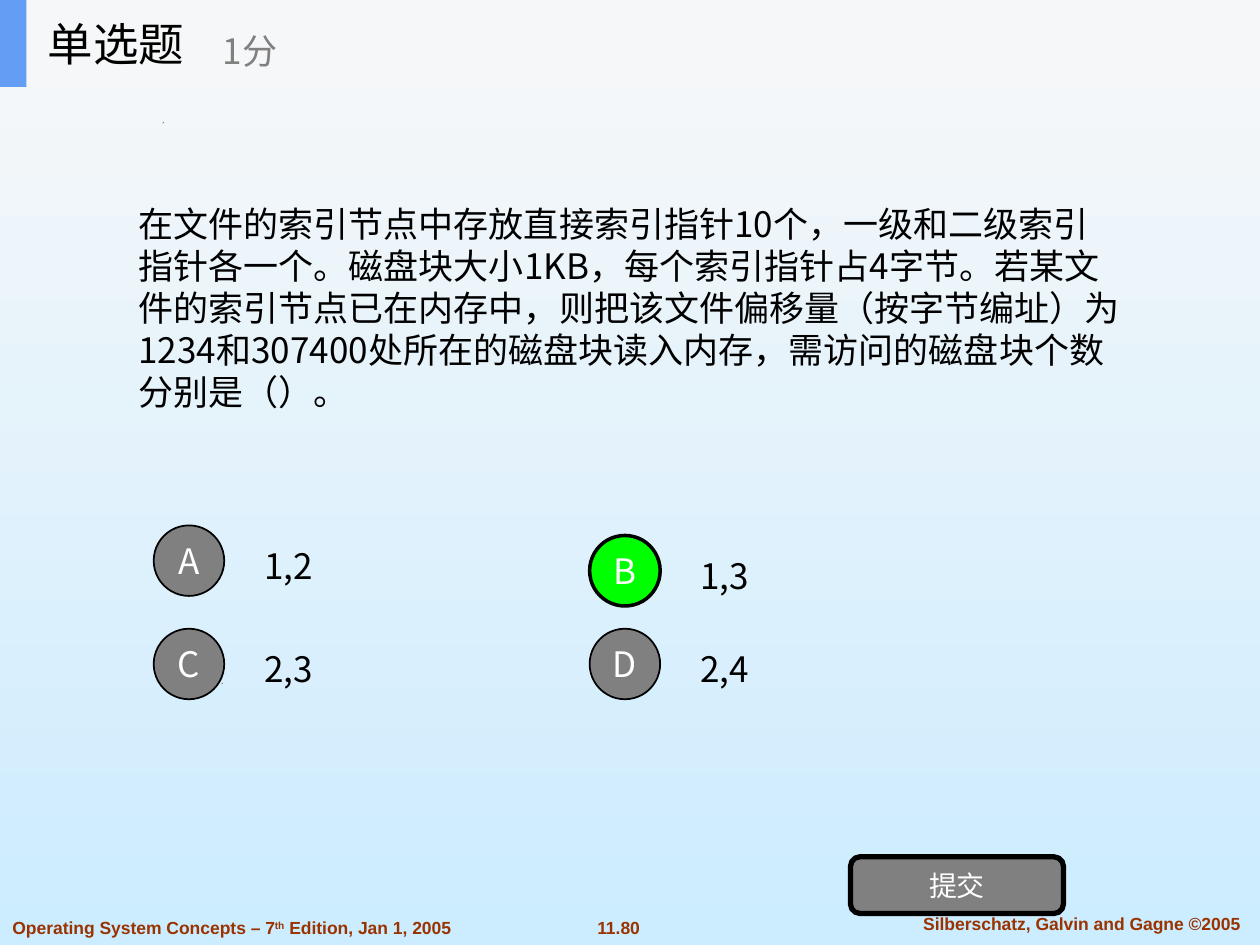
from lxml.etree import SubElement
from pptx import Presentation
from pptx.dml.color import RGBColor
from pptx.enum.shapes import MSO_SHAPE as Shape
from pptx.enum.text import MSO_ANCHOR as Anchor, MSO_AUTO_SIZE as AutoSize, PP_ALIGN as Align
from pptx.oxml.ns import qn
from pptx.util import Inches, Pt

COLORS = {
    "ink": "000000", "white": "FFFFFF", "gray": "808080", "correct": "00FF00",
    "header": "F6F7F8", "accent": "639EF4", "footer": "993300",
    "sky_top": "F8F8F8", "sky_bottom": "CCECFF",
}
CJK = "Noto Sans CJK SC"
COLUMNS, ROWS = 100, 75


def rgb(name):
    return RGBColor.from_string(COLORS[name])


def write(frame, text, *, size=20, color="ink", font=CJK, bold=False, align=Align.LEFT,
          anchor=Anchor.MIDDLE, wrap=True, superscript=None):
    """Fill a text frame; the part equal to superscript is raised."""
    frame.word_wrap = wrap
    frame.auto_size = AutoSize.NONE
    frame.vertical_anchor = anchor
    paragraph = frame.paragraphs[0]
    paragraph.alignment = align
    parts = [text]
    if superscript:
        before, after = text.split(superscript, 1)
        parts = [before, superscript, after]
    for part in parts:
        run = paragraph.add_run()
        run.text = part
        run.font.size, run.font.bold, run.font.name = Pt(size), bold, font
        run.font.color.rgb = rgb(color)
        properties = run.font._element
        SubElement(properties, qn("a:ea")).set("typeface", font)
        if part == superscript:
            properties.set("baseline", "30000")


class QuizSlide:
    """Places elements on a grid of COLUMNS by ROWS."""

    def __init__(self, deck):
        self.column = deck.slide_width / COLUMNS
        self.row = deck.slide_height / ROWS
        self.slide = deck.slides.add_slide(deck.slide_layouts[5])
        self.shapes = self.slide.shapes

    def cell(self, left, top, width, height):
        return (round(left * self.column), round(top * self.row),
                round(width * self.column), round(height * self.row))

    def background(self, top, bottom):
        fill = self.slide.background.fill
        fill.gradient()
        fill.gradient_angle = 270
        for stop, color in zip(fill.gradient_stops, (top, bottom)):
            stop.color.rgb = rgb(color)

    def title(self, area, text, **style):
        title = self.shapes.title
        title.left, title.top, title.width, title.height = self.cell(*area)
        write(title.text_frame, text, **style)
        self.shapes._spTree.append(title._element)  # in front of the header band

    def text(self, area, text, **style):
        write(self.shapes.add_textbox(*self.cell(*area)).text_frame, text, **style)

    def paint(self, shape, fill, line_width=0):
        shape.shadow.inherit = False
        shape.fill.solid()
        shape.fill.fore_color.rgb = rgb(fill)
        if line_width:
            shape.line.color.rgb = rgb("ink")
            shape.line.width = Pt(line_width)
        else:
            shape.line.fill.background()

    def shape(self, kind, area, fill, line_width=0, label=None, size=20):
        shape = self.shapes.add_shape(kind, *self.cell(*area))
        self.paint(shape, fill, line_width)
        if label:
            write(shape.text_frame, label, size=size, color="white",
                  align=Align.CENTER, wrap=False)

    def speck(self, left, top):
        x, y, side = left * self.column, top * self.row, 0.1 * self.column
        outline = self.shapes.build_freeform(round(x), round(y + side))
        outline.add_line_segments([(round(x + side), round(y)),
                                   (round(x), round(y + side / 2))])
        self.paint(outline.convert_to_shape(), "ink")


def main():
    deck = Presentation()
    deck.slide_width, deck.slide_height = Inches(10), Inches(7.5)
    quiz = QuizSlide(deck)
    quiz.background("sky_top", "sky_bottom")

    # Footer
    footer = dict(size=10, color="footer", font="Arial", bold=True, anchor=Anchor.TOP)
    quiz.text((46.3, 72.3, 5.6, 2.7), "11.80", align=Align.CENTER, wrap=False, **footer)
    quiz.text((71, 72, 29.7, 2.7), "Silberschatz, Galvin and Gagne ©2005",
              align=Align.CENTER, **footer)
    quiz.text((0, 72.3, 36.9, 2.7), "Operating System Concepts – 7th Edition, Jan 1, 2005",
              wrap=False, superscript="th", **footer)

    # Small ornaments
    for left, top in ((17.6, 54.2), (56.5, 46), (12.9, 9.7)):
        quiz.speck(left, top)

    # Question
    quiz.text((10, 12.7, 80, 23.4),
              "在文件的索引节点中存放直接索引指针10个，一级和二级索引指针各一个。"
              "磁盘块大小1KB，每个索引指针占4字节。若某文件的索引节点已在内存中，"
              "则把该文件偏移量（按字节编址）为1234和307400处所在的磁盘块读入内存，"
              "需访问的磁盘块个数分别是（）。")

    # Answer options
    left_column, right_column, lower_row = 12.2, 46.8, 49.9
    options = [
        ("A", "1,2", left_column, 41.7), ("B", "1,3", right_column, 42.5),
        ("C", "2,3", left_column, lower_row), ("D", "2,4", right_column, lower_row),
    ]
    for letter, answer, left, top in options:
        fill, line_width = ("correct", 2) if letter == "B" else ("gray", 1)
        quiz.text((left + 7.8, top, 12, 6.3), answer)
        quiz.shape(Shape.OVAL, (left, top, 5.6, 5.6), fill, line_width, letter)

    # Submit button
    quiz.shape(Shape.ROUNDED_RECTANGLE, (67.5, 68, 16.9, 4.5), "gray", 3, "提交", size=16)

    # Header
    quiz.shape(Shape.RECTANGLE, (0, 0, COLUMNS, 6.9), "header")
    quiz.shape(Shape.RECTANGLE, (0, 0, 2.1, 6.9), "accent")
    quiz.title((2.8, 0, 20.8, 6.9), "单选题", size=26, wrap=False)
    quiz.text((16.7, 1.2, 25, 5.6), "1分", color="gray", wrap=False)

    deck.save("out.pptx")


if __name__ == "__main__":
    main()
